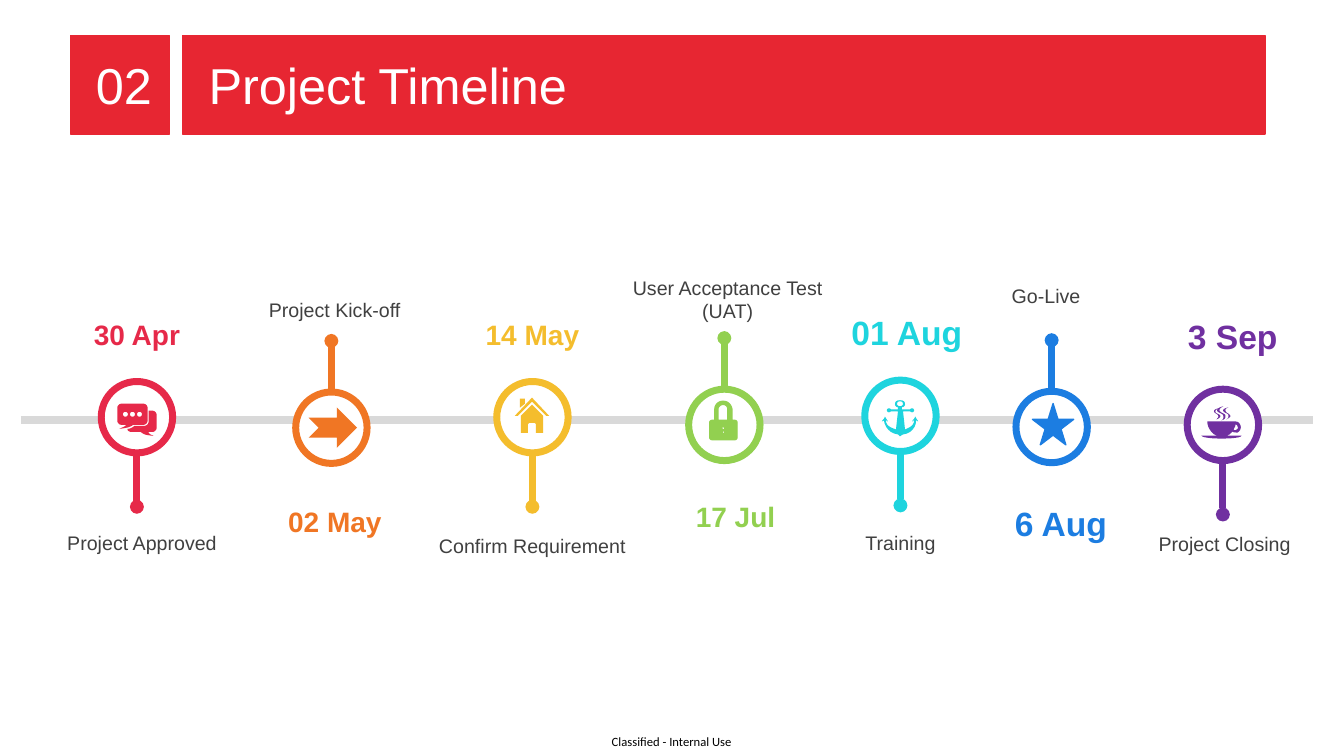
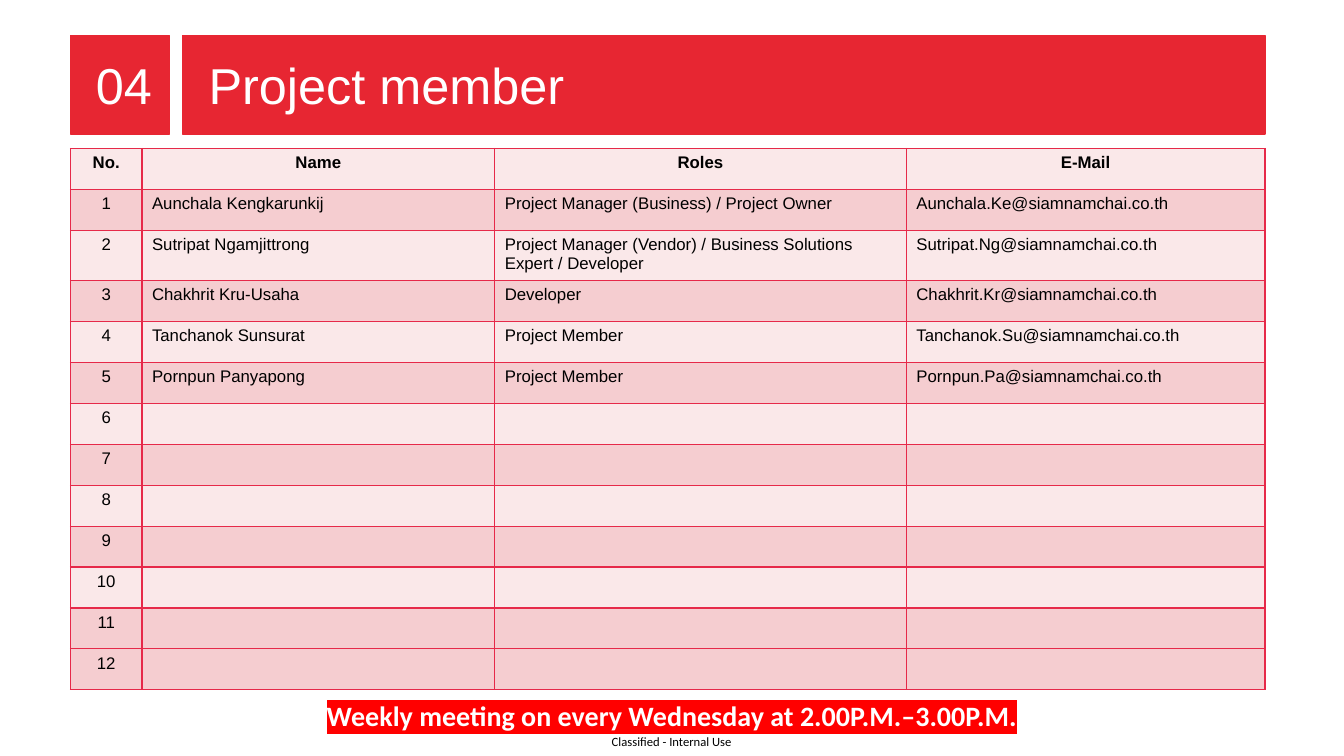
from dataclasses import dataclass
from math import cos, pi, sin

from lxml.etree import SubElement
from pptx import Presentation
from pptx.dml.color import RGBColor
from pptx.enum.shapes import MSO_CONNECTOR, MSO_SHAPE as SHAPE
from pptx.enum.text import MSO_ANCHOR as ANCHOR, PP_ALIGN as ALIGN
from pptx.oxml.ns import qn
from pptx.util import Pt

RED, CRIMSON, WHITE, BLACK = "E72632", "E62949", "FFFFFF", "000000"
AXIS_GREY, LABEL_GREY, HIGHLIGHT = "D9D9D9", "404040", "FF0000"
ROW_LIGHT, ROW_DARK = "FAE8E9", "F5CDD0"
LEFT, WIDTH = 50.4, 853.2
DISC = 51
ICON_UNIT = 0.72
CURVE_STEPS = 6

CHAT = """O 38 32.5 2.5 2.5 O 31 32.5 2.5 2.5 O 24 32.5 2.5 2.5
M 47 29 L 51 29 C 53 29 55 31 55 33 L 55 46 C 55 48 53 50 51 50 L 47 50
C 47 51 47 52 52 54 C 44 53 43 53 39 50 L 30 50 C 28 50 26 49 26 47
C 28 47 31 46 33 44 L 43 44 C 45 44 47 42 47 40
M 20 22 L 42 22 C 44 22 46 24 46 26 L 46 39 C 46 41 44 43 42 43 L 32 43
C 27 46 25 46 18 47 C 22 45 23 45 25 43 L 20 43 C 18 43 16 41 16 39
L 16 26 C 16 24 18 22 20 22"""
HOUSE = """M 35 23 L 46 34 L 46 51 L 39 51 L 39 43 C 39 42 38 41 37 41
L 33 41 C 32 41 31 42 31 43 L 31 51 L 24 51 L 24 34
M 23 17 L 28 17 L 28 22 L 23 26
M 35 16 L 52 34 L 49 34 L 35 20 L 21 34 L 18 34"""
LOCK = """M 34 37 C 33 37 33 38 33 39 C 33 39 33 40 34 40 L 33 44 L 36 44
L 35 40 C 36 40 36 39 36 39 C 36 38 35 37 34 37
M 34 15 C 32 15 29 17 29 20 L 29 31 L 39 31 L 39 20 C 39 17 37 15 34 15
M 34 12 C 39 12 42 15 43 20 L 43 31 L 46 31 C 47 31 48 32 48 33 L 48 48
C 48 49 47 50 46 50 L 23 50 C 22 50 21 49 21 48 L 21 33
C 21 32 22 31 23 31 L 26 31 L 26 20 C 26 15 30 12 34 12"""
ANCHOR_ICON = """O 35 23.5 3 2.5
M 35 20 C 38 20 40 21 40 24 C 40 25 39 27 37 27 L 37 29 L 45 29
C 45 29 46 28 47 28 C 48 28 49 29 49 30 C 49 31 48 32 47 32
C 46 32 45 31 45 31 L 38 31 L 40 49 C 45 47 49 45 49 40
C 48 40 48 41 47 41 C 48 39 50 38 50 36 C 51 38 52 39 53 41
C 52 41 52 40 51 40 C 51 47 46 53 38 54 C 36 55 36 55 35 56
C 34 55 34 55 33 54 C 25 53 20 47 19 40 C 19 40 18 41 17 41
C 18 39 20 38 20 36 C 21 38 22 39 23 41 C 22 41 22 40 21 40
C 21 45 25 47 31 49 L 33 31 L 26 31 C 26 31 25 32 24 32
C 23 32 22 31 22 30 C 22 29 23 28 24 28 C 25 28 26 29 26 29
L 33 29 L 33 27 C 31 27 30 25 30 24 C 30 21 32 20 35 20"""
CUP = """M 48 35 C 48 37 47 38 46 40 C 47 41 48 41 49 40 C 50 40 51 38 50 37
C 50 36 49 35 48 35
M 48 32 C 51 32 52 34 53 36 C 54 39 52 42 50 43 C 48 43 46 43 45 42
C 44 43 43 44 42 45 C 41 45 40 46 39 46 L 54 46 C 54 48 45 49 34 49
C 24 49 15 48 14 46 L 30 46 C 29 46 28 45 27 45 C 23 42 20 37 20 32
M 31 19 C 29 20 28 21 28 22 C 28 25 33 24 33 27 C 32 29 31 29 29 30
C 30 29 31 28 31 27 C 31 25 28 24 27 23 C 26 21 27 20 31 19
M 41 18 C 39 19 38 19 38 21 C 38 24 43 24 43 27 C 42 28 41 29 39 30
C 41 29 41 28 41 26 C 41 24 38 24 36 22 C 35 20 37 19 41 18
M 36 17 C 34 18 32 19 32 21 C 33 24 39 24 38 27 C 38 29 37 30 34 31
C 36 30 36 29 36 27 C 36 24 32 24 30 22 C 29 20 31 18 36 17"""


@dataclass
class Milestone:
    """One event: disc centre from the axis start, and text offsets from the disc."""
    date: str
    label: str
    color: str
    x: float
    y: float
    date_dx: float
    date_dy: float
    label_dx: float
    label_dy: float
    label_width: float
    date_size: int = 20
    icon: str = ""


MILESTONES = [
    Milestone("30 Apr", "Project Approved", CRIMSON, 82.8, -2, 0, -59, 3.7, 78, 122, icon=CHAT),
    Milestone("02 May", "Project Kick-off", "F07624", 221.7, 5.5, 2.5, 67, 2.4, -96, 166),
    Milestone("14 May", "Confirm Requirement", "F4BD2D", 365.3, -2, 0, -59, 0, 80, 166, icon=HOUSE),
    Milestone("17 Jul", "User Acceptance Test\n(UAT)", "92D050", 502.4, 3.5, 8, 65, 2.4, -110, 166,
              icon=LOCK),
    Milestone("01 Aug", "Training", "1ED4DE", 628.2, -3, 4.5, -59.5, 0, 79, 76, 24, ANCHOR_ICON),
    Milestone("6 Aug", "Go-Live", "1C7DE1", 736.2, 5, 6.5, 68.7, -4, -105.5, 76, 24),
    Milestone("3 Sep", "Project Closing", "7030A0", 858.5, 3.5, 7, -63.7, 1.3, 73, 112, 24, CUP),
]

MAIL = "{}@siamnamchai.co.th"
MEMBERS = [
    ("Aunchala Kengkarunkij", "Project Manager (Business) / Project Owner", "Aunchala.Ke"),
    ("Sutripat Ngamjittrong",
     "Project Manager (Vendor) / Business Solutions Expert / Developer", "Sutripat.Ng"),
    ("Chakhrit Kru-Usaha", "Developer", "Chakhrit.Kr"),
    ("Tanchanok Sunsurat", "Project Member", "Tanchanok.Su"),
    ("Pornpun Panyapong", "Project Member", "Pornpun.Pa"),
]
MEMBER_ROWS = 12


def rgb(code):
    """Turn a hex string into a colour."""
    return RGBColor.from_string(code)


def paint(shape, fill, line=None, weight=1):
    """Give a shape a flat fill and an optional outline."""
    shape.shadow.inherit = False
    shape.fill.solid()
    shape.fill.fore_color.rgb = rgb(fill)
    if line:
        shape.line.color.rgb = rgb(line)
        shape.line.width = Pt(weight)
    else:
        shape.line.fill.background()


def write(frame, text, size, color, bold=False, align=ALIGN.LEFT, face="Arial"):
    """Fill a text frame, one paragraph a line, in one font."""
    frame.text = text
    frame.word_wrap = True
    for paragraph in frame.paragraphs:
        paragraph.alignment = align
        font = paragraph.font
        font.name, font.size, font.bold = face, Pt(size), bold
        font.color.rgb = rgb(color)


def add_text(slide, left, top, width, height, text, size, color, **style):
    """Add a text box and return its frame."""
    frame = slide.shapes.add_textbox(Pt(left), Pt(top), Pt(width), Pt(height)).text_frame
    write(frame, text, size, color, **style)
    return frame


def add_line(slide, x1, y1, x2, y2, color, weight, dots=False):
    """Draw a straight line, with small round ends if asked."""
    line = slide.shapes.add_connector(MSO_CONNECTOR.STRAIGHT, Pt(x1), Pt(y1), Pt(x2), Pt(y2))
    line.line.color.rgb = rgb(color)
    line.line.width = Pt(weight)
    if dots:
        for end in ("a:headEnd", "a:tailEnd"):
            SubElement(line.line._get_or_add_ln(), qn(end), type="oval", w="sm", len="sm")
    SubElement(line._element.spPr, qn("a:effectLst"))


def outlines(drawing):
    """Turn M, L, C and O (ellipse) commands into lists of points."""
    contours, tokens = [], iter(drawing.split())
    for command in tokens:
        values = [float(next(tokens)) for _ in range({"C": 6, "O": 4}.get(command, 2))]
        if command == "O":
            cx, cy, rx, ry = values
            angles = [2 * pi * i / 16 for i in range(16)]
            contours.append([(cx + rx * cos(a), cy + ry * sin(a)) for a in angles])
        elif command == "M":
            contours.append([tuple(values)])
        elif command == "L":
            contours[-1].append(tuple(values))
        else:
            curve = [contours[-1][-1], *zip(values[::2], values[1::2])]
            for step in range(1, CURVE_STEPS + 1):
                t = step / CURVE_STEPS
                weights = ((1 - t) ** 3, 3 * t * (1 - t) ** 2, 3 * t * t * (1 - t), t ** 3)
                contours[-1].append(tuple(
                    sum(w * p[axis] for w, p in zip(weights, curve)) for axis in (0, 1)))
    return contours


def add_icon(slide, left, top, drawing, color, line=None):
    """Draw an icon in the box of its disc."""
    contours = [[(Pt(left + x * ICON_UNIT), Pt(top + y * ICON_UNIT)) for x, y in contour]
                for contour in outlines(drawing)]
    builder = slide.shapes.build_freeform(*contours[0][0])
    for index, contour in enumerate(contours):
        if index:
            builder.move_to(*contour[0])
        builder.add_line_segments(contour[1:], close=True)
    paint(builder.convert_to_shape(), color, line)


def add_symbol(slide, kind, cx, cy, width, height, color, line=None):
    """Add a preset shape around a centre."""
    symbol = slide.shapes.add_shape(
        kind, Pt(cx - width / 2), Pt(cy - height / 2), Pt(width), Pt(height))
    paint(symbol, color, line)


def header(slide, left, top, width, number, title):
    """Place the red number square and the title band beside it."""
    side, band = 70.6, 79.9
    parts = [(left, side, number, 18), (left + band, width - band, title, 18.7)]
    for x, part_width, text, indent in parts:
        block = slide.shapes.add_shape(SHAPE.RECTANGLE, Pt(x), Pt(top), Pt(part_width), Pt(side))
        paint(block, RED, RED)
        frame = block.text_frame
        write(frame, text, 36, WHITE)
        frame.vertical_anchor = ANCHOR.MIDDLE
        frame.margin_left, frame.margin_right = Pt(indent), 0


def footer(slide, left, top):
    """Place the classification line."""
    frame = add_text(slide, left, top, 88, 11, "Classified - Internal Use", 9, BLACK,
                     face="Calibri")
    frame.margin_left = frame.margin_right = frame.margin_top = frame.margin_bottom = 0


def milestone(slide, cx, cy, event):
    """Place one event around the centre of its disc."""
    stem = 64 if event.label_dy > 0 else -62
    add_line(slide, cx, cy + stem, cx, cy, event.color, 5, dots=True)
    left, top = cx - DISC / 2, cy - DISC / 2
    disc = slide.shapes.add_shape(SHAPE.OVAL, Pt(left), Pt(top), Pt(DISC), Pt(DISC))
    paint(disc, WHITE, event.color, 5)
    if event.icon:
        add_icon(slide, left, top, event.icon, event.color,
                 event.color if event.icon == LOCK else None)
    elif event.label == "Go-Live":
        add_symbol(slide, SHAPE.STAR_5_POINT, cx + 1, cy - 2, 29.5, 29.5, event.color, event.color)
    else:
        add_symbol(slide, SHAPE.NOTCHED_RIGHT_ARROW, cx + 1, cy, 34.6, 28.8, event.color)
    date_width, date_height = 96, 36
    date = add_text(slide, cx + event.date_dx - date_width / 2, cy + event.date_dy - date_height / 2,
                    date_width, date_height, event.date, event.date_size, event.color,
                    bold=True, align=ALIGN.CENTER)
    date.vertical_anchor = ANCHOR.MIDDLE
    label_height = 24.5 + 16.5 * event.label.count("\n")
    add_text(slide, cx + event.label_dx - event.label_width / 2, cy + event.label_dy,
             event.label_width, label_height, event.label, 14, LABEL_GREY, align=ALIGN.CENTER)


def timeline(slide, left, axis, width):
    """Draw the axis and its events."""
    add_line(slide, left, axis, left + width, axis, AXIS_GREY, 6)
    for event in MILESTONES:
        milestone(slide, left + event.x, axis + event.y, event)


def border(cell, color):
    """Outline a cell with one-point lines, placed before its fill."""
    properties = cell._tc.get_or_add_tcPr()
    for index, side in enumerate(("a:lnL", "a:lnR", "a:lnT", "a:lnB")):
        edge = SubElement(properties, qn(side), w=str(Pt(1)))
        SubElement(SubElement(edge, qn("a:solidFill")), qn("a:srgbClr"), val=color)
        properties.insert(index, edge)


def member_table(slide, left, top, width):
    """Build the table of members with its numbered spare rows."""
    rows = [("No.", "Name", "Roles", "E-Mail")]
    for number in range(1, MEMBER_ROWS + 1):
        known = MEMBERS[number - 1:number]
        name, role, user = known[0] if known else ("", "", "")
        rows.append((str(number), name, role, MAIL.format(user) if user else ""))
    row_height = 29.25
    table = slide.shapes.add_table(len(rows), 4, Pt(left), Pt(top), Pt(width),
                                   Pt(row_height * len(rows))).table
    table.horz_banding = False
    for column, share in zip(table.columns, (51, 252, 294, width - 597)):
        column.width = Pt(share)
    for r, row in enumerate(rows):
        table.rows[r].height = Pt(row_height)
        for c, text in enumerate(row):
            cell = table.cell(r, c)
            cell.fill.solid()
            cell.fill.fore_color.rgb = rgb(ROW_DARK if r % 2 or r == MEMBER_ROWS else ROW_LIGHT)
            border(cell, CRIMSON)
            write(cell.text_frame, text, 12, BLACK, bold=r == 0,
                  align=ALIGN.CENTER if r == 0 or c == 0 else ALIGN.LEFT)


def meeting_note(slide, left, top, width):
    """Place the highlighted meeting time."""
    frame = add_text(slide, left, top, width, 31.5,
                     "Weekly meeting on every Wednesday at 2.00P.M.–3.00P.M.", 20, WHITE,
                     bold=True, align=ALIGN.CENTER, face="Calibri")
    properties = frame.paragraphs[0].runs[0]._r.get_or_add_rPr()
    SubElement(SubElement(properties, qn("a:highlight")), qn("a:srgbClr"), val=HIGHLIGHT)


def new_slide(deck, number, title):
    """Add a blank slide with the shared header and footer."""
    slide = deck.slides.add_slide(deck.slide_layouts[6])
    footer(slide, 437, 524)
    header(slide, LEFT, 25.2, WIDTH, number, title)
    return slide


def main():
    """Build and save both slides."""
    deck = Presentation()
    deck.slide_width, deck.slide_height = Pt(960), Pt(540)
    timeline(new_slide(deck, "02", "Project Timeline"), 15, 300, 923)
    members = new_slide(deck, "04", "Project member")
    member_table(members, LEFT, 106, WIDTH)
    meeting_note(members, 115, 495.5, 730)
    deck.save("out.pptx")


if __name__ == "__main__":
    main()
